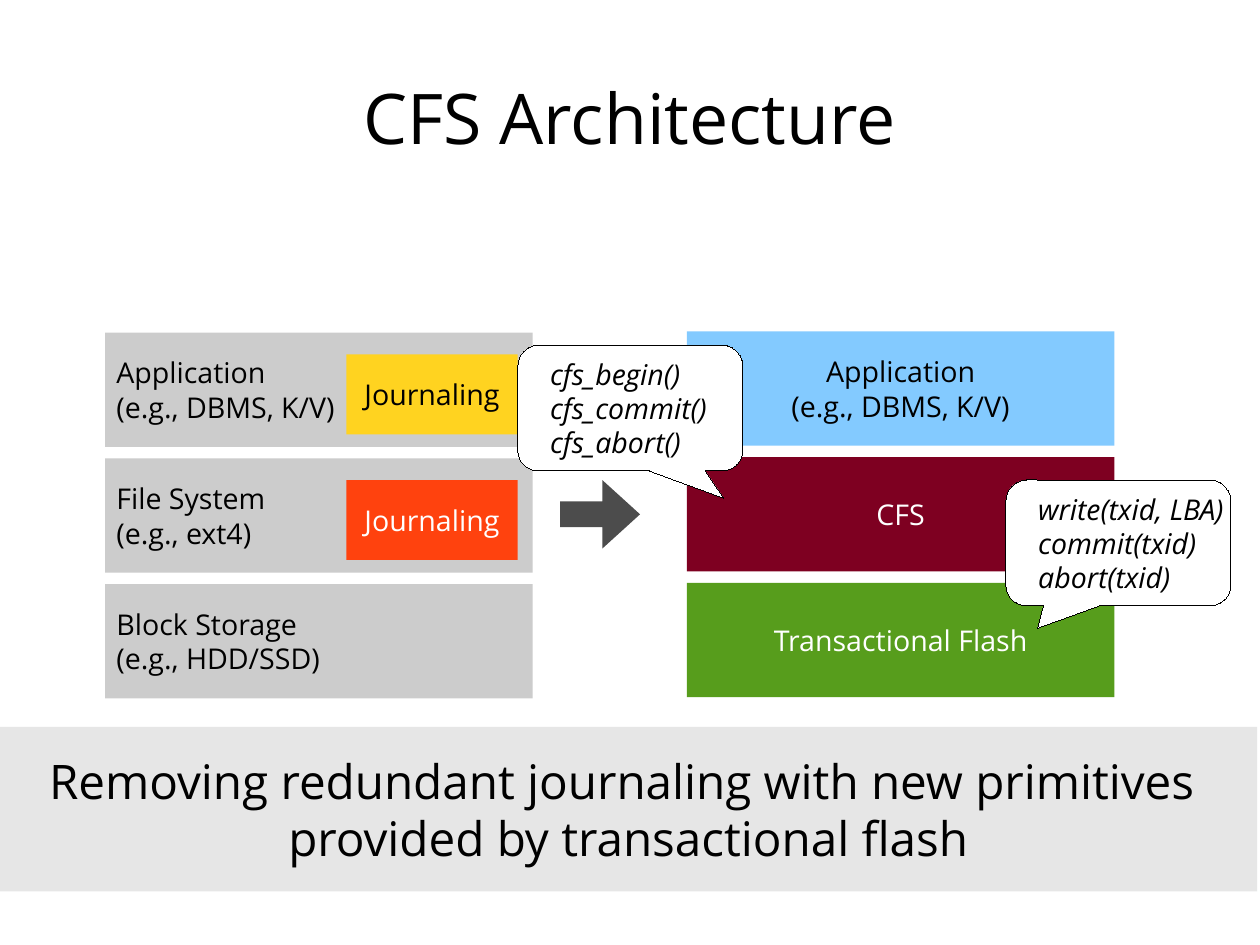
import pptx
import pptx.util
import pptx.dml.color
import pptx.enum.shapes
import pptx.enum.text

Inches = pptx.util.Inches
Pt = pptx.util.Pt
Shape = pptx.enum.shapes.MSO_SHAPE
Align = pptx.enum.text.PP_ALIGN

FONT = "Open Sans"
BLACK, WHITE, GRAY = "000000", "FFFFFF", "CCCCCC"
LAYER_WIDTH, LAYER_HEIGHT, LAYER_PITCH = 3.74, 1, 1.1


def color(value):
    return pptx.dml.color.RGBColor.from_string(value)


def write_lines(shape, lines, size=18, ink=BLACK, align=Align.CENTER, italic=False):
    frame = shape.text_frame
    frame.word_wrap = True
    frame.vertical_anchor = pptx.enum.text.MSO_ANCHOR.MIDDLE
    for index, line in enumerate(lines):
        para = frame.paragraphs[0] if index == 0 else frame.add_paragraph()
        para.text = line
        para.alignment = align
        para.font.name = FONT
        para.font.size = Pt(size)
        para.font.italic = italic
        para.font.color.rgb = color(ink)


def add_block(page, box, fill, kind=Shape.RECTANGLE):
    """Add a filled shape without outline or shadow."""
    block = page.shapes.add_shape(kind, *map(Inches, box))
    block.shadow.inherit = False
    block.fill.solid()
    block.fill.fore_color.rgb = color(fill)
    block.line.fill.background()
    return block


def add_title(page, box, text):
    title = page.shapes.add_textbox(*map(Inches, box))
    write_lines(title, [text], size=44)


def add_stack(page, left, top, layers, align):
    """Stack layers of (lines, fill, ink) downwards."""
    for row, (lines, fill, ink) in enumerate(layers):
        box = (left, top + row * LAYER_PITCH, LAYER_WIDTH, LAYER_HEIGHT)
        write_lines(add_block(page, box, fill), lines, ink=ink, align=align)


def add_journals(page, left, top, journals):
    """Mark the upper layers of a stack with journaling boxes."""
    for row, (fill, ink) in enumerate(journals):
        box = (left + 2.11, top + 0.19 + row * LAYER_PITCH, 1.5, 0.7)
        write_lines(add_block(page, box, fill), ["Journaling"], ink=ink)


def add_arrow(page, box):
    arrow = add_block(page, box, "4C4C4C", Shape.RIGHT_ARROW)
    arrow.adjustments[0] = 0.377
    arrow.adjustments[1] = 0.55


def add_callout(page, left, top, tip, calls):
    """Add a hairline speech bubble whose tip is offset from its centre."""
    callout = add_block(page, (left, top, 1.97, 1.1), WHITE,
                        Shape.ROUNDED_RECTANGULAR_CALLOUT)
    callout.line.color.rgb = color(BLACK)
    callout.line.width = Pt(0.01)
    for index, offset in enumerate(tip):
        callout.adjustments[index] = offset
    write_lines(callout, calls, align=Align.LEFT, italic=True)
    frame = callout.text_frame
    frame.word_wrap = False
    frame.margin_left = Inches(0.23)
    frame.margin_right = 0


def add_banner(page, box, lines):
    write_lines(add_block(page, box, "E6E6E6"), lines, size=30)


def main():
    deck = pptx.Presentation()
    deck.slide_width = pptx.util.Cm(28)
    deck.slide_height = pptx.util.Cm(21)
    page = deck.slides.add_slide(deck.slide_layouts[6])

    application = ["Application", "(e.g., DBMS, K/V)"]
    add_title(page, (0.55, 0.33, 9.92, 1.38), "CFS Architecture")
    add_stack(page, 6.01, 2.9, [
        (application, "83CAFF", BLACK),
        (["CFS"], "7E0021", WHITE),
        (["Transactional Flash"], "579D1C", WHITE),
    ], Align.CENTER)
    add_stack(page, 0.92, 2.91, [
        (application, GRAY, BLACK),
        (["File System", "(e.g., ext4)"], GRAY, BLACK),
        (["Block Storage", "(e.g., HDD/SSD)"], GRAY, BLACK),
    ], Align.LEFT)
    add_journals(page, 0.92, 2.91, [("FFD320", BLACK), ("FF420E", WHITE)])
    add_arrow(page, (4.9, 4.2, 0.7, 0.6))
    add_callout(page, 8.8, 4.2, (-0.359, 0.679),
                ["write(txid, LBA)", "commit(txid)", "abort(txid)"])
    add_callout(page, 4.53, 3.02, (0.416, 0.718),
                ["cfs_begin()", "cfs_commit()", "cfs_abort()"])
    add_banner(page, (0, 6.36, 11, 1.44), [
        "Removing redundant journaling with new primitives ",
        "provided by transactional flash",
    ])
    deck.save("out.pptx")


if __name__ == "__main__":
    main()
